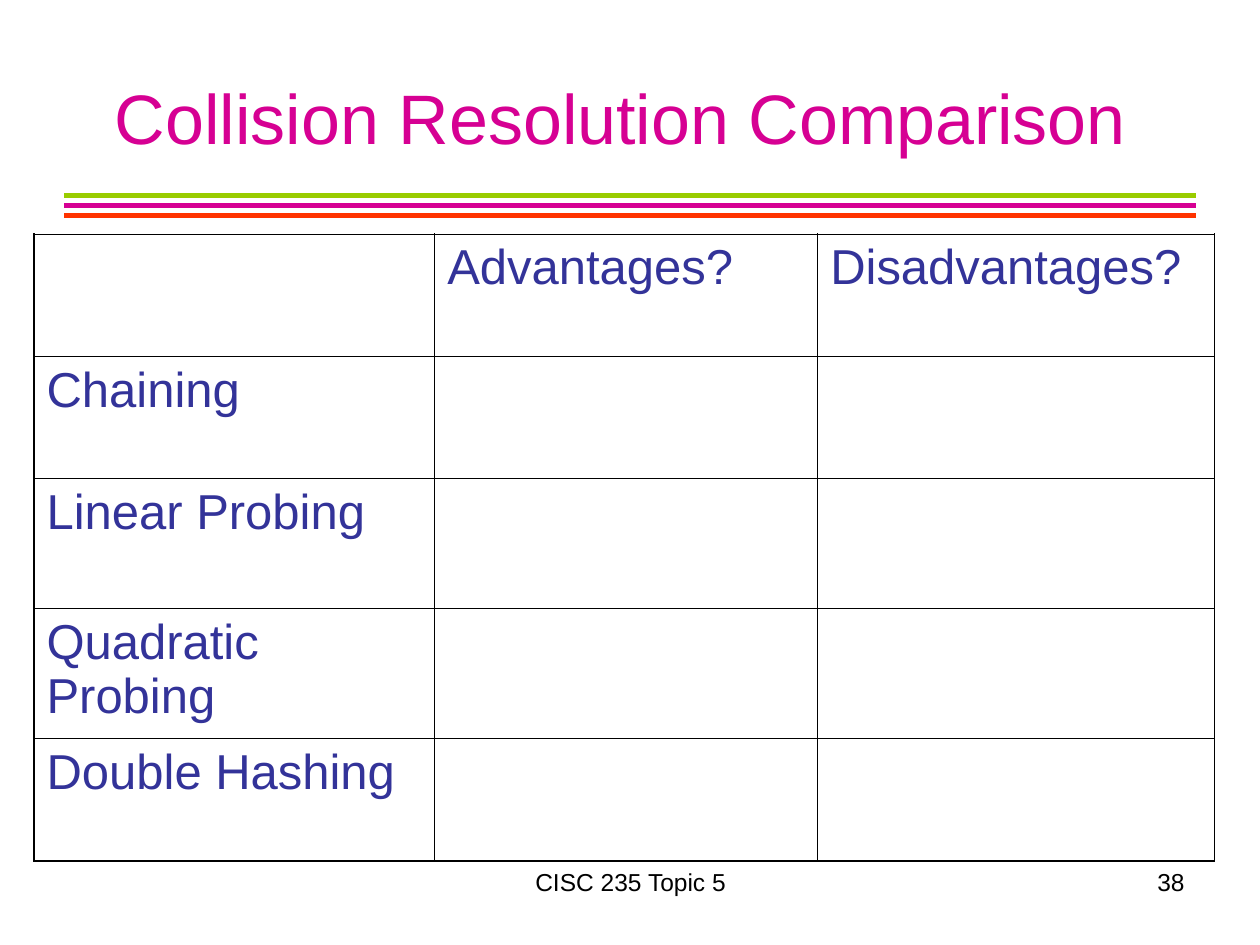
from lxml import etree
from pptx import Presentation
from pptx.dml.color import RGBColor
from pptx.enum.shapes import MSO_CONNECTOR
from pptx.enum.text import MSO_ANCHOR, MSO_AUTO_SIZE, PP_ALIGN
from pptx.oxml.ns import qn
from pptx.util import Inches, Pt

STRAIGHT = MSO_CONNECTOR.STRAIGHT
LEFT, CENTER, RIGHT = PP_ALIGN.LEFT, PP_ALIGN.CENTER, PP_ALIGN.RIGHT
MIDDLE = MSO_ANCHOR.MIDDLE
NO_AUTOFIT = MSO_AUTO_SIZE.NONE

COLORS = {
    "magenta": "D60093",
    "green": "99CC00",
    "red": "FF3300",
    "indigo": "333399",
    "black": "000000",
}
FONT = "Arial"
MARGIN = 0.51
THIN, THICK = 0.45, 1.08

COLUMN_WIDTHS = [3.18, 3.04, 3.15]
ROW_HEIGHTS = [0.97, 0.97, 1.03, 1.03, 0.97]
COMPARISON = [
    ["", "Advantages?", "Disadvantages?"],
    ["Chaining", "", ""],
    ["Linear Probing", "", ""],
    ["Quadratic Probing", "", ""],
    ["Double Hashing", "", ""],
]


def write(frame, text, size, color, align=LEFT, before=0):
    frame.word_wrap = True
    paragraph = frame.paragraphs[0]
    paragraph.alignment = align
    paragraph.space_before = Pt(before)
    run = paragraph.add_run()
    run.text = text
    run.font.name = FONT
    run.font.size = Pt(size)
    run.font.color.rgb = RGBColor.from_string(COLORS[color])


def add_title(slide, text):
    title = slide.shapes.title
    title.left, title.top = Inches(0.5), Inches(0.3)
    title.width, title.height = Inches(9), Inches(1.25)
    title.text_frame.vertical_anchor = MIDDLE
    title.text_frame.auto_size = NO_AUTOFIT
    write(title.text_frame, text, 40, "magenta", CENTER)


def add_rule(slide, y, color):
    rule = slide.shapes.add_connector(
        STRAIGHT, Inches(MARGIN), Inches(y), Inches(10 - MARGIN), Inches(y))
    rule.line.color.rgb = RGBColor.from_string(COLORS[color])
    rule.line.width = Pt(3)
    etree.SubElement(rule._element.spPr, qn("a:effectLst"))


def add_footer(slide, text, left, width, align):
    footer = slide.shapes.add_textbox(
        Inches(left), Inches(6.83), Inches(width), Inches(0.52))
    write(footer.text_frame, text, 14, "black", align)


def set_borders(cell, row, column):
    """Draw thick lines on the table's outer edge and thin lines inside."""
    outer = {
        "a:lnL": column == 0,
        "a:lnR": column == len(COLUMN_WIDTHS) - 1,
        "a:lnT": row == 0,
        "a:lnB": row == len(ROW_HEIGHTS) - 1,
    }
    properties = cell._tc.get_or_add_tcPr()
    for side, is_outer in outer.items():
        width = Pt(THICK if is_outer else THIN)
        border = etree.SubElement(properties, qn(side), w=str(width))
        fill = etree.SubElement(border, qn("a:solidFill"))
        etree.SubElement(fill, qn("a:srgbClr"), val=COLORS["black"])


def add_comparison(slide):
    table = slide.shapes.add_table(
        len(ROW_HEIGHTS), len(COLUMN_WIDTHS), Inches(0.27), Inches(1.86),
        Inches(sum(COLUMN_WIDTHS)), Inches(sum(ROW_HEIGHTS))).table
    table.first_row = table.horz_banding = False
    for column, width in zip(table.columns, COLUMN_WIDTHS):
        column.width = Inches(width)
    for row, height in zip(table.rows, ROW_HEIGHTS):
        row.height = Inches(height)
    for r, labels in enumerate(COMPARISON):
        for c, label in enumerate(labels):
            cell = table.cell(r, c)
            set_borders(cell, r, c)
            cell.fill.background()
            if label:
                write(cell.text_frame, label, 28, "indigo", before=7)


def main():
    prs = Presentation()
    prs.slide_width, prs.slide_height = Inches(10), Inches(7.5)
    slide = prs.slides.add_slide(prs.slide_layouts.get_by_name("Title Only"))
    for i, color in enumerate(["green", "magenta", "red"]):
        add_rule(slide, 1.55 + 0.08 * i, color)
    add_footer(slide, "CISC 235 Topic 5", 3.42, 3.17, CENTER)
    add_footer(slide, "38", 7.17, 2.33, RIGHT)
    add_title(slide, "Collision Resolution Comparison ")
    add_comparison(slide)
    prs.save("out.pptx")


if __name__ == "__main__":
    main()
